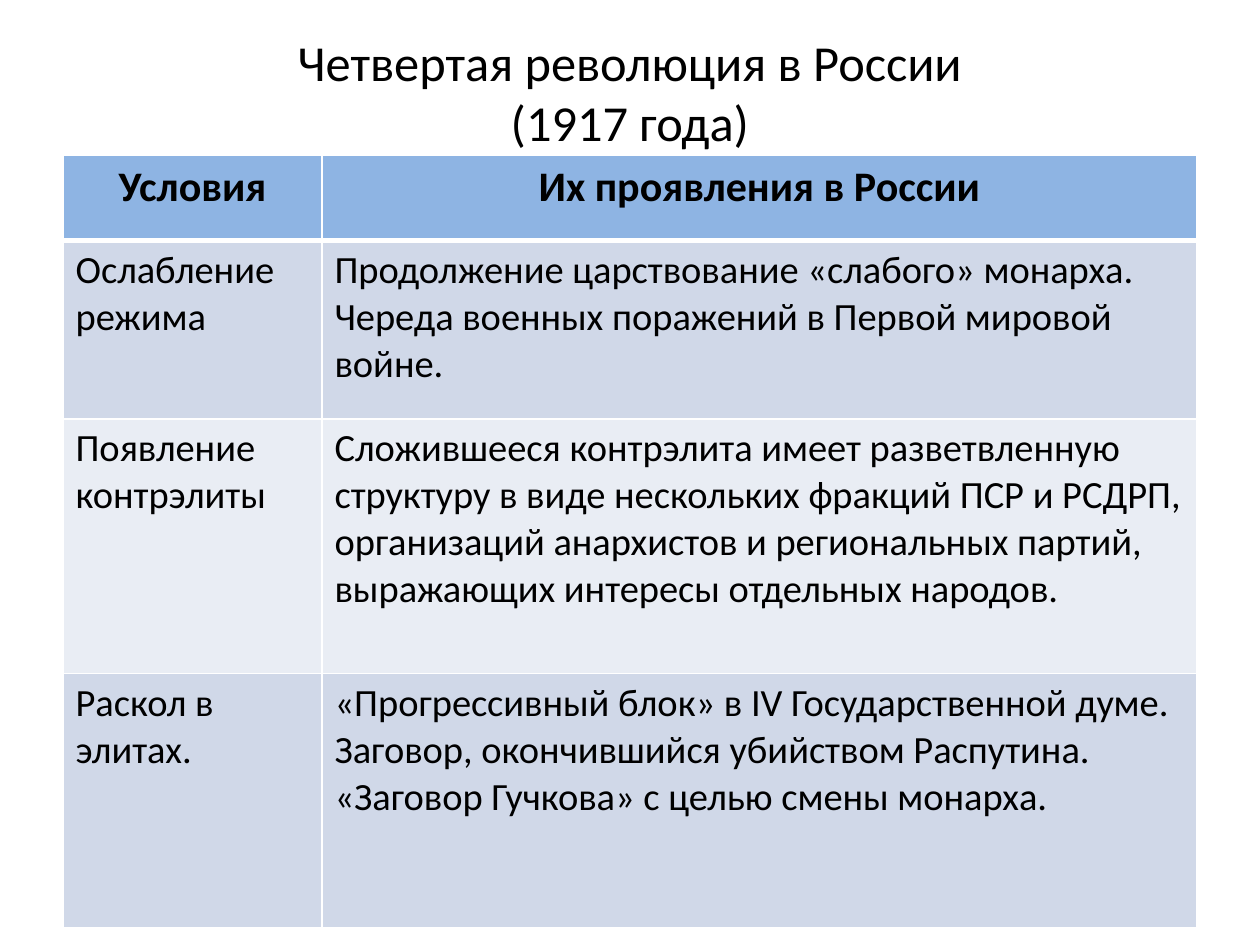
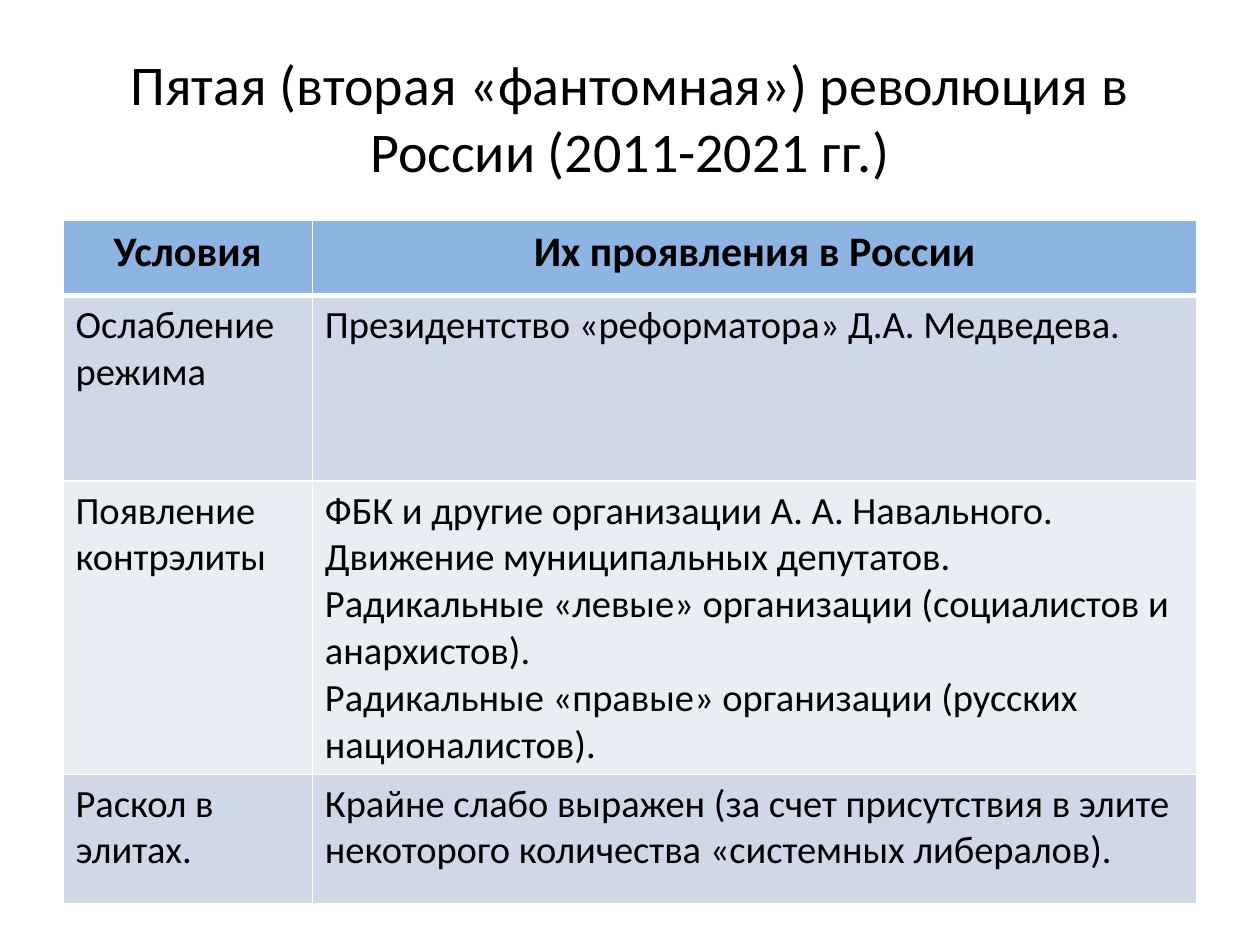
import pptx
import pptx.dml.color
import pptx.enum.text
import pptx.oxml
import pptx.oxml.ns
import pptx.util

Pt = pptx.util.Pt
PP_ALIGN = pptx.enum.text.PP_ALIGN
MSO_ANCHOR = pptx.enum.text.MSO_ANCHOR

HEADERS = ["Условия", "Их проявления в России"]
CONDITIONS = ["Ослабление режима", "Появление контрэлиты", "Раскол в элитах."]

REVOLUTIONS = [
    {
        "title": "Четвертая революция в России\v(1917 года)",
        "title_size": 28.8,
        "title_height": 61.2,
        "table_top": 88.5,
        "condition_width": 148,
        "row_heights": [49, 102, 145.5, 145.5],
        "manifestations": [
            ["Продолжение царствование «слабого» монарха.",
             "Череда военных поражений в Первой мировой войне."],
            ["Сложившееся контрэлита имеет разветвленную структуру в виде "
             "нескольких фракций ПСР и РСДРП, организаций анархистов и "
             "региональных партий, выражающих интересы отдельных народов."],
            ["«Прогрессивный блок» в IV Государственной думе.",
             "Заговор, окончившийся убийством Распутина.",
             "«Заговор Гучкова» с целью смены монарха."],
        ],
    },
    {
        "title": "Пятая (вторая «фантомная») революция в России (2011-2021 гг.)",
        "title_size": 32,
        "title_height": 90,
        "table_top": 126,
        "condition_width": 142.5,
        "row_heights": [43, 106, 167.5, 74],
        "manifestations": [
            ["Президентство «реформатора» Д.А. Медведева."],
            ["ФБК и другие организации А. А. Навального.",
             "Движение муниципальных депутатов.",
             "Радикальные «левые» организации (социалистов и анархистов).",
             "Радикальные «правые» организации (русских националистов)."],
            ["Крайне слабо выражен (за счет присутствия в элите некоторого "
             "количества «системных либералов)."],
        ],
    },
]

COLORS = {
    "text": "000000",
    "header": "8EB4E3",
    "odd_row": "D0D8E8",
    "even_row": "E9EDF4",
    "border": "FFFFFF",
}
FONT = "Calibri"
HEADER_FORMAT = {"size": Pt(24), "bold": True}
BODY_FORMAT = {"size": Pt(22), "bold": False}
SLIDE_WIDTH, SLIDE_HEIGHT = 720, 540
MARGIN = 36
CONTENT_WIDTH = SLIDE_WIDTH - 2 * MARGIN
TITLE_TOP = 21.6
THIN_BORDER, HEADER_BORDER = 1, 3


def rgb(name):
    return pptx.dml.color.RGBColor.from_string(COLORS[name])


def write_text(text_frame, lines, alignment, font_format):
    for index, line in enumerate(lines):
        paragraph = text_frame.add_paragraph() if index else text_frame.paragraphs[0]
        paragraph.text = line
        paragraph.alignment = alignment
        for run in paragraph.runs:
            run.font.color.rgb = rgb("text")
            for attribute, value in {"name": FONT, **font_format}.items():
                setattr(run.font, attribute, value)


def add_borders(cell, widths):
    properties = cell._tc.get_or_add_tcPr()
    for side, width in widths.items():
        properties.append(pptx.oxml.parse_xml(
            f'<a:ln{side} {pptx.oxml.ns.nsdecls("a")} w="{Pt(width)}">'
            f'<a:solidFill><a:srgbClr val="{COLORS["border"]}"/></a:solidFill>'
            f'</a:ln{side}>'))


def add_title(slide, revolution):
    title = slide.shapes.add_textbox(
        Pt(MARGIN), Pt(TITLE_TOP), Pt(CONTENT_WIDTH), Pt(revolution["title_height"]))
    frame_format = {"word_wrap": True, "vertical_anchor": MSO_ANCHOR.MIDDLE}
    for attribute, value in frame_format.items():
        setattr(title.text_frame, attribute, value)
    write_text(title.text_frame, [revolution["title"]], PP_ALIGN.CENTER,
               {"size": Pt(revolution["title_size"])})


def add_conditions_table(slide, revolution):
    rows = [[[header] for header in HEADERS]]
    rows += [[[condition], lines] for condition, lines
             in zip(CONDITIONS, revolution["manifestations"])]
    heights = revolution["row_heights"]
    table = slide.shapes.add_table(
        len(rows), len(HEADERS), Pt(MARGIN), Pt(revolution["table_top"]),
        Pt(CONTENT_WIDTH), Pt(sum(heights))).table
    condition_width = revolution["condition_width"]
    for column, width in zip(table.columns, [condition_width, CONTENT_WIDTH - condition_width]):
        column.width = Pt(width)
    for row_index, (row, height) in enumerate(zip(rows, heights)):
        table.rows[row_index].height = Pt(height)
        is_header = row_index == 0
        fill = "header" if is_header else "odd_row" if row_index % 2 else "even_row"
        borders = {
            "L": THIN_BORDER,
            "R": THIN_BORDER,
            "T": HEADER_BORDER if row_index == 1 else THIN_BORDER,
            "B": HEADER_BORDER if is_header else THIN_BORDER,
        }
        for column_index, lines in enumerate(row):
            cell = table.cell(row_index, column_index)
            add_borders(cell, borders)
            cell.fill.solid()
            cell.fill.fore_color.rgb = rgb(fill)
            write_text(cell.text_frame, lines,
                       PP_ALIGN.CENTER if is_header else PP_ALIGN.LEFT,
                       HEADER_FORMAT if is_header else BODY_FORMAT)


def main():
    presentation = pptx.Presentation()
    presentation.slide_width = Pt(SLIDE_WIDTH)
    presentation.slide_height = Pt(SLIDE_HEIGHT)
    for revolution in REVOLUTIONS:
        slide = presentation.slides.add_slide(presentation.slide_layouts[6])
        add_title(slide, revolution)
        add_conditions_table(slide, revolution)
    presentation.save("out.pptx")


if __name__ == "__main__":
    main()
